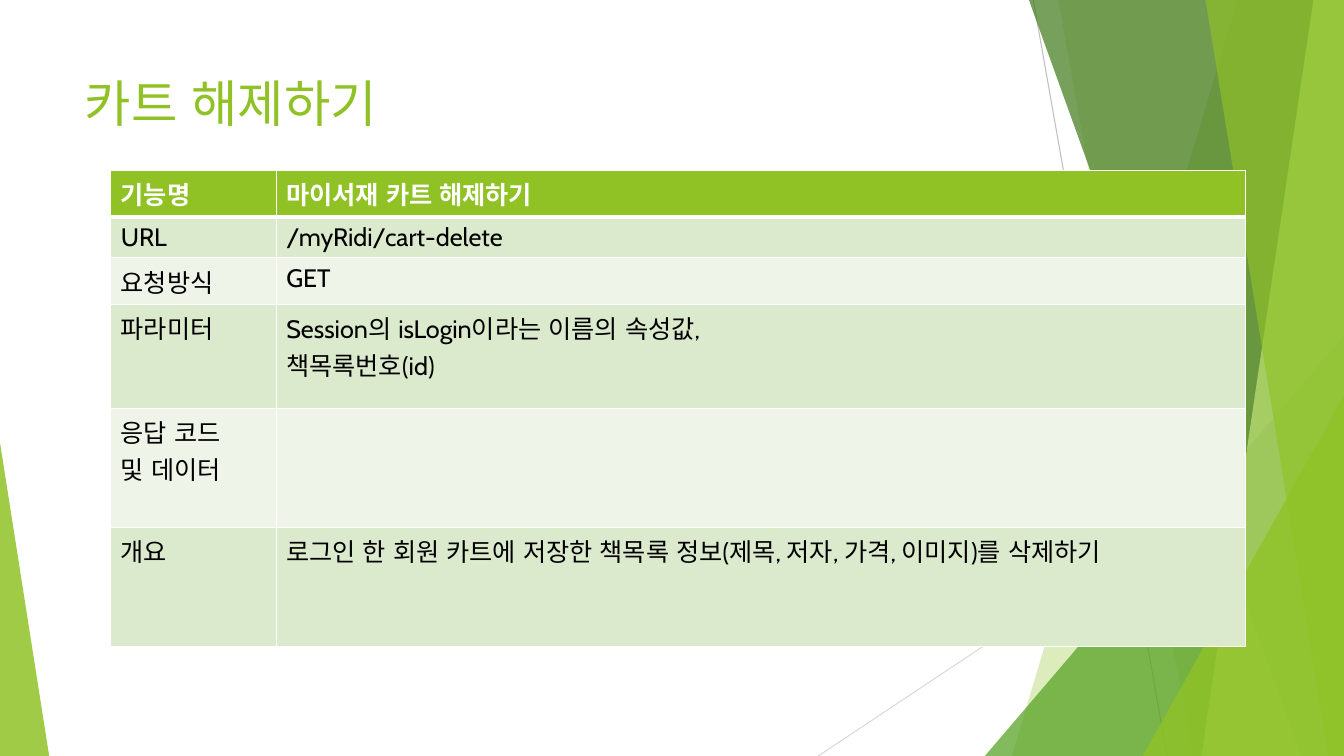
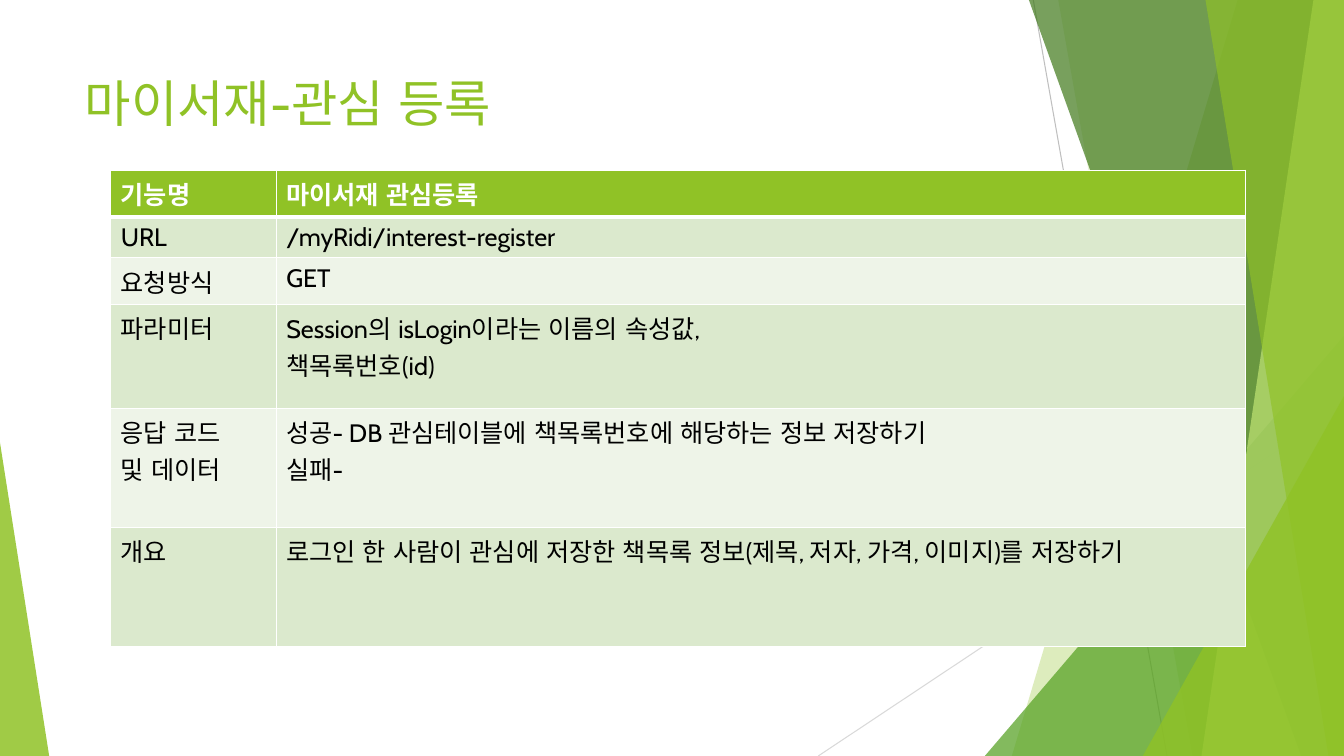
from dataclasses import dataclass

from lxml.etree import SubElement
from pptx import Presentation
from pptx.dml.color import RGBColor
from pptx.enum.lang import MSO_LANGUAGE_ID as Language
from pptx.enum.shapes import MSO_CONNECTOR as Connector, MSO_SHAPE as Preset
from pptx.enum.text import MSO_ANCHOR as Anchor, PP_ALIGN as Align
from pptx.oxml.ns import qn
from pptx.util import Cm, Pt


@dataclass(frozen=True)
class Theme:
    font: str = "Cabin"
    title_size: int = 36
    table_size: int = 18
    lime: str = "90C226"
    green: str = "54A021"
    forest: str = "3F7819"
    pale_lime: str = "C0E474"
    band_dark: str = "DBE9CD"
    band_light: str = "EEF4E8"
    white: str = "FFFFFF"
    black: str = "000000"
    line_dark: str = "BFBFBF"
    line_light: str = "D9D9D9"


THEME = Theme()
WIDTH, HEIGHT = 33.87, 19.05

LABELS = ["기능명", "URL", "요청방식", "파라미터", "응답 코드\n및 데이터", "개요"]
PARAMETERS = "Session의 isLogin이라는 이름의 속성값,\n책목록번호(id)"
PAGES = [
    ("카트 해제하기", [
        "마이서재 카트 해제하기",
        "/myRidi/cart-delete",
        "GET",
        PARAMETERS,
        "",
        "로그인 한 회원 카트에 저장한 책목록 정보(제목, 저자, 가격, 이미지)를 삭제하기",
    ]),
    ("마이서재-관심 등록", [
        "마이서재 관심등록",
        "/myRidi/interest-register",
        "GET",
        PARAMETERS,
        "성공- DB 관심테이블에 책목록번호에 해당하는 정보 저장하기\n실패-",
        "로그인 한 사람이 관심에 저장한 책목록 정보(제목, 저자, 가격, 이미지)를 저장하기",
    ]),
]

TITLE_BOX = (1.88, 1.7, 23.88, 1.96)
TABLE_LEFT, TABLE_TOP = 2.79, 4.29
COLUMN_WIDTHS = [4.17, 24.42]
ROW_HEIGHTS = [0.99, 0.99, 1.02, 2.62, 3, 3]

LINES = [
    ((26.04, 0), (29.41, HEIGHT), THEME.line_dark),
    ((WIDTH, 10.24), (20.62, HEIGHT), THEME.line_light),
]
FACETS = [
    ("band", 31.19, 25.5, THEME.lime, 30),
    ("band", 26.67, 30.05, THEME.lime, 20),
    ("triangle", (24.82, 8.46, WIDTH), 1, THEME.green, 72),
    ("band", 25.93, 32.79, THEME.forest, 70),
    ("band", 33.1, 30.28, THEME.pale_lime, 70),
    ("band", 30.38, 33.48, THEME.lime, 65),
    ("triangle", (28.8, 9.98, WIDTH), 1, THEME.lime, 80),
    ("triangle", (0, 11.15, 1.24), 0, THEME.lime, 85),
]


def write_text(frame, text, *, size, color, bold=False):
    frame.word_wrap = True
    for index, line in enumerate(text.split("\n")):
        paragraph = frame.add_paragraph() if index else frame.paragraphs[0]
        paragraph.alignment = Align.LEFT
        run = paragraph.add_run()
        run.text = line
        font = run.font
        font.name, font.size, font.bold = THEME.font, Pt(size), bold
        font.color.rgb = RGBColor.from_string(color)
        font.language_id = Language.KOREAN


def add_line(slide, start, end, color):
    points = [Cm(value) for value in (*start, *end)]
    line = slide.shapes.add_connector(Connector.STRAIGHT, *points)
    line.line.color.rgb = RGBColor.from_string(color)
    line.line.width = Pt(0.75)
    SubElement(line.element.spPr, qn("a:effectLst"))
    return line


def add_band(slide, top_x, bottom_x):
    builder = slide.shapes.build_freeform(Cm(top_x), 0)
    corners = [(WIDTH, 0), (WIDTH, HEIGHT), (bottom_x, HEIGHT)]
    builder.add_line_segments([(Cm(x), Cm(y)) for x, y in corners])
    return builder.convert_to_shape()


def add_triangle(slide, box, apex):
    left, top, right = box
    shape = slide.shapes.add_shape(
        Preset.ISOSCELES_TRIANGLE, Cm(left), Cm(top), Cm(right - left), Cm(HEIGHT - top))
    shape.adjustments[0] = apex
    return shape


def add_facet(slide, kind, first, second, color, opacity):
    shape = {"band": add_band, "triangle": add_triangle}[kind](slide, first, second)
    shape.shadow.inherit = False
    shape.line.fill.background()
    shape.fill.solid()
    shape.fill.fore_color.rgb = RGBColor.from_string(color)
    color_element = shape.element.find(".//" + qn("a:srgbClr"))
    SubElement(color_element, qn("a:alpha"), val=str(opacity * 1000))
    return shape


def decorate_layout(layout, slide):
    for placeholder in list(layout.placeholders)[1:]:
        layout.shapes.element.remove(placeholder.element)
    backdrop = [add_line(slide, *line) for line in LINES]
    backdrop += [add_facet(slide, *facet) for facet in FACETS]
    for position, shape in enumerate(backdrop, start=2):
        layout.shapes.element.insert(position, shape.element)


def set_borders(cell, bottom):
    properties = cell._tc.get_or_add_tcPr()
    for side, width in (("L", 1), ("R", 1), ("T", 1), ("B", bottom)):
        border = SubElement(properties, qn(f"a:ln{side}"), w=str(Pt(width)))
        fill = SubElement(border, qn("a:solidFill"))
        SubElement(fill, qn("a:srgbClr"), val=THEME.white)


def add_spec_table(slide, values):
    table = slide.shapes.add_table(
        len(LABELS), len(COLUMN_WIDTHS), Cm(TABLE_LEFT), Cm(TABLE_TOP),
        Cm(sum(COLUMN_WIDTHS)), Cm(sum(ROW_HEIGHTS))).table
    table.horz_banding = False
    for column, width in zip(table.columns, COLUMN_WIDTHS):
        column.width = Cm(width)
    for index, texts in enumerate(zip(LABELS, values)):
        table.rows[index].height = Cm(ROW_HEIGHTS[index])
        header = index == 0
        band = THEME.band_dark if index % 2 else THEME.band_light
        for cell, text in zip(table.rows[index].cells, texts):
            set_borders(cell, bottom=3 if header else 1)
            cell.fill.solid()
            cell.fill.fore_color.rgb = RGBColor.from_string(THEME.lime if header else band)
            if text:
                write_text(cell.text_frame, text, size=THEME.table_size, bold=header,
                           color=THEME.white if header else THEME.black)


def add_title(slide, text):
    title = slide.shapes.title
    title.left, title.top, title.width, title.height = map(Cm, TITLE_BOX)
    title.text_frame.vertical_anchor = Anchor.TOP
    write_text(title.text_frame, text, size=THEME.title_size, color=THEME.lime)


def main():
    presentation = Presentation()
    presentation.slide_width, presentation.slide_height = Cm(WIDTH), Cm(HEIGHT)
    layout = presentation.slide_layouts.get_by_name("Title Only")
    for index, (title, values) in enumerate(PAGES):
        slide = presentation.slides.add_slide(layout)
        if index == 0:
            decorate_layout(layout, slide)
        add_title(slide, title)
        add_spec_table(slide, values)
    presentation.save("out.pptx")


if __name__ == "__main__":
    main()
